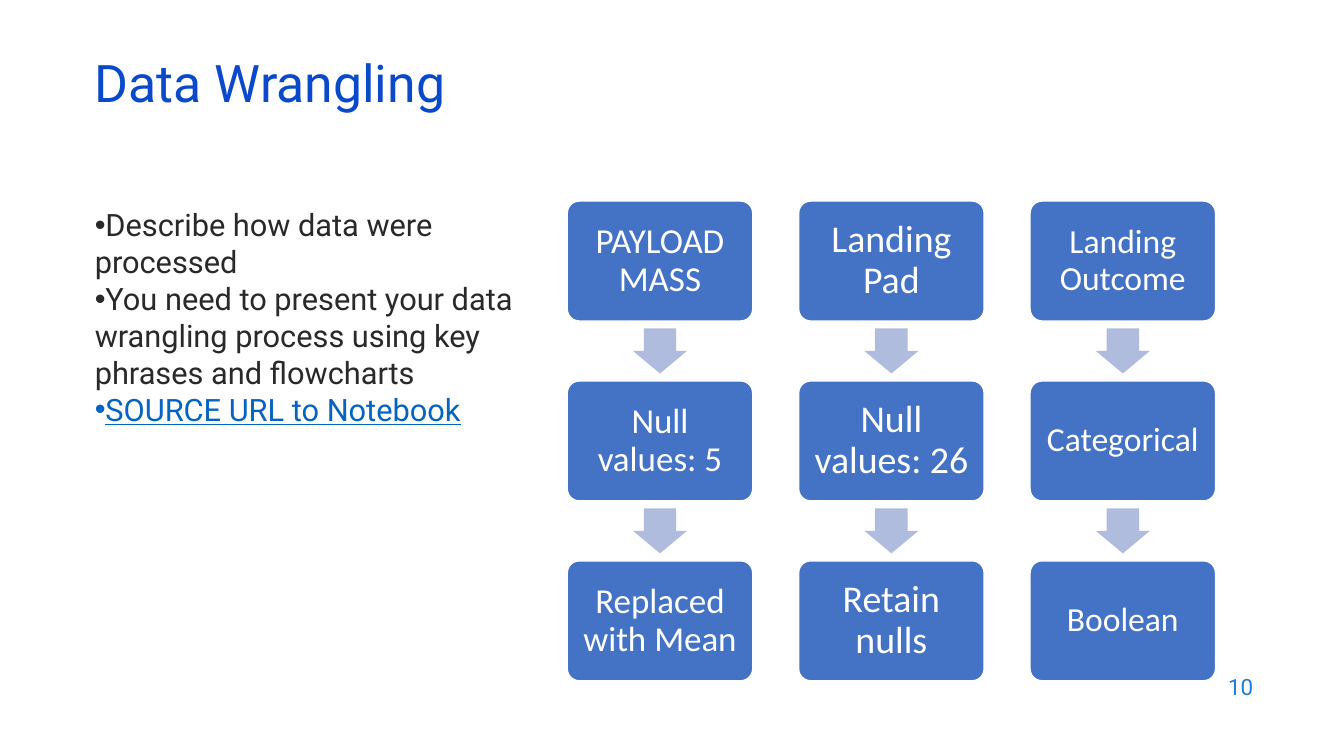
from lxml import etree
from pptx import Presentation
from pptx.dml.color import RGBColor
from pptx.enum.shapes import MSO_SHAPE as SHAPE
from pptx.enum.text import MSO_ANCHOR as ANCHOR, MSO_AUTO_SIZE as FIT, PP_ALIGN as ALIGN
from pptx.oxml.ns import qn
from pptx.util import Pt

BOX_W, BOX_H = 132.5, 85.7
LEFT, TOP = 405.2, 143.6
COL_STEP, ROW_STEP = 165.3, 128.5
ARROW_W, ARROW_H = 38.6, 32.2
INSET = 6.8

# Each flow: font size, steps from top to bottom
FLOWS = [
    (25, ["PAYLOAD MASS", "Null values: 5", "Replaced with Mean"]),
    (27, ["Landing Pad", "Null values: 26", "Retain nulls"]),
    (24, ["Landing Outcome", "Categorical", "Boolean"]),
]
BULLETS = [
    "Describe how data were processed",
    "You need to present your data wrangling process using key phrases and flowcharts",
    "SOURCE URL to Notebook",
]


def rgb(color):
    return RGBColor.from_string(color)


def place(sp, x, y, w, h):
    sp.left, sp.top, sp.width, sp.height = Pt(x), Pt(y), Pt(w), Pt(h)


def style(p, size, color, font="Roboto", align=ALIGN.LEFT, spacing=None):
    p.alignment = align
    p.line_spacing = spacing
    for r in p.runs:
        r.font.size = Pt(size)
        r.font.name = font
        r.font.color.rgb = rgb(color)


def set_bullet(p):
    """Give the paragraph a bullet directly at the left edge."""
    pPr = p._p.get_or_add_pPr()
    pPr.set("marL", "0")
    pPr.set("indent", "0")
    etree.SubElement(pPr, qn("a:buChar")).set("char", "•")


def fill_title(sp, text):
    place(sp, 60.5, 42.5, 828, 43.2)
    tf = sp.text_frame
    tf.text = text
    tf.auto_size = FIT.NONE
    tf.vertical_anchor = ANCHOR.MIDDLE
    style(tf.paragraphs[0], 37, "0B49CB", spacing=0.7)


def fill_body(sp, lines):
    place(sp, 60.5, TOP, 337.7, 342.7)
    tf = sp.text_frame
    tf.text = "\n".join(lines)
    tf.auto_size = FIT.NONE
    for p in tf.paragraphs:
        set_bullet(p)
        p.space_before = Pt(0)
        style(p, 22, "292929", spacing=Pt(26.4))
    link = tf.paragraphs[-1].runs[0].font
    link.color.rgb = rgb("0563C1")
    link.underline = True


def add_page_number(s, text):
    sp = s.shapes.add_textbox(Pt(686.2), Pt(474.5), Pt(216), Pt(31.7))
    tf = sp.text_frame
    tf.word_wrap = True
    tf.vertical_anchor = ANCHOR.MIDDLE
    tf.text = text
    style(tf.paragraphs[0], 16, "1C7DDB", align=ALIGN.RIGHT)


def add_filled(s, kind, x, y, w, h, color, adjustments):
    sp = s.shapes.add_shape(kind, Pt(x), Pt(y), Pt(w), Pt(h))
    sp.shadow.inherit = False
    sp.fill.solid()
    sp.fill.fore_color.rgb = rgb(color)
    sp.line.fill.background()
    for i, value in enumerate(adjustments):
        sp.adjustments[i] = value
    return sp


def add_step(s, x, y, text, size):
    sp = add_filled(s, SHAPE.ROUNDED_RECTANGLE, x, y, BOX_W, BOX_H, "4472C4", [0.1])
    sp.line.color.rgb = rgb("FFFFFF")
    sp.line.width = Pt(1)
    tf = sp.text_frame
    tf.word_wrap = True
    tf.vertical_anchor = ANCHOR.MIDDLE
    tf.margin_left = tf.margin_right = tf.margin_top = tf.margin_bottom = Pt(INSET)
    tf.text = text
    style(tf.paragraphs[0], size, "FFFFFF", "Calibri", ALIGN.CENTER, 0.9)


def add_flow(s, x, size, steps):
    gap = ROW_STEP - BOX_H
    for row, text in enumerate(steps):
        y = TOP + row * ROW_STEP
        if row:
            add_filled(s, SHAPE.DOWN_ARROW, x + (BOX_W - ARROW_W) / 2,
                       y - (gap + ARROW_H) / 2, ARROW_W, ARROW_H, "B0BCDE", [0.6, 0.5])
        add_step(s, x, y, text, size)


def main():
    prs = Presentation()
    prs.slide_width, prs.slide_height = Pt(960), Pt(540)
    s = prs.slides.add_slide(prs.slide_layouts[1])
    fill_title(s.shapes.title, "Data Wrangling")
    fill_body(s.placeholders[1], BULLETS)
    for col, (size, steps) in enumerate(FLOWS):
        add_flow(s, LEFT + col * COL_STEP, size, steps)
    add_page_number(s, "10")
    prs.save("out.pptx")


if __name__ == "__main__":
    main()
